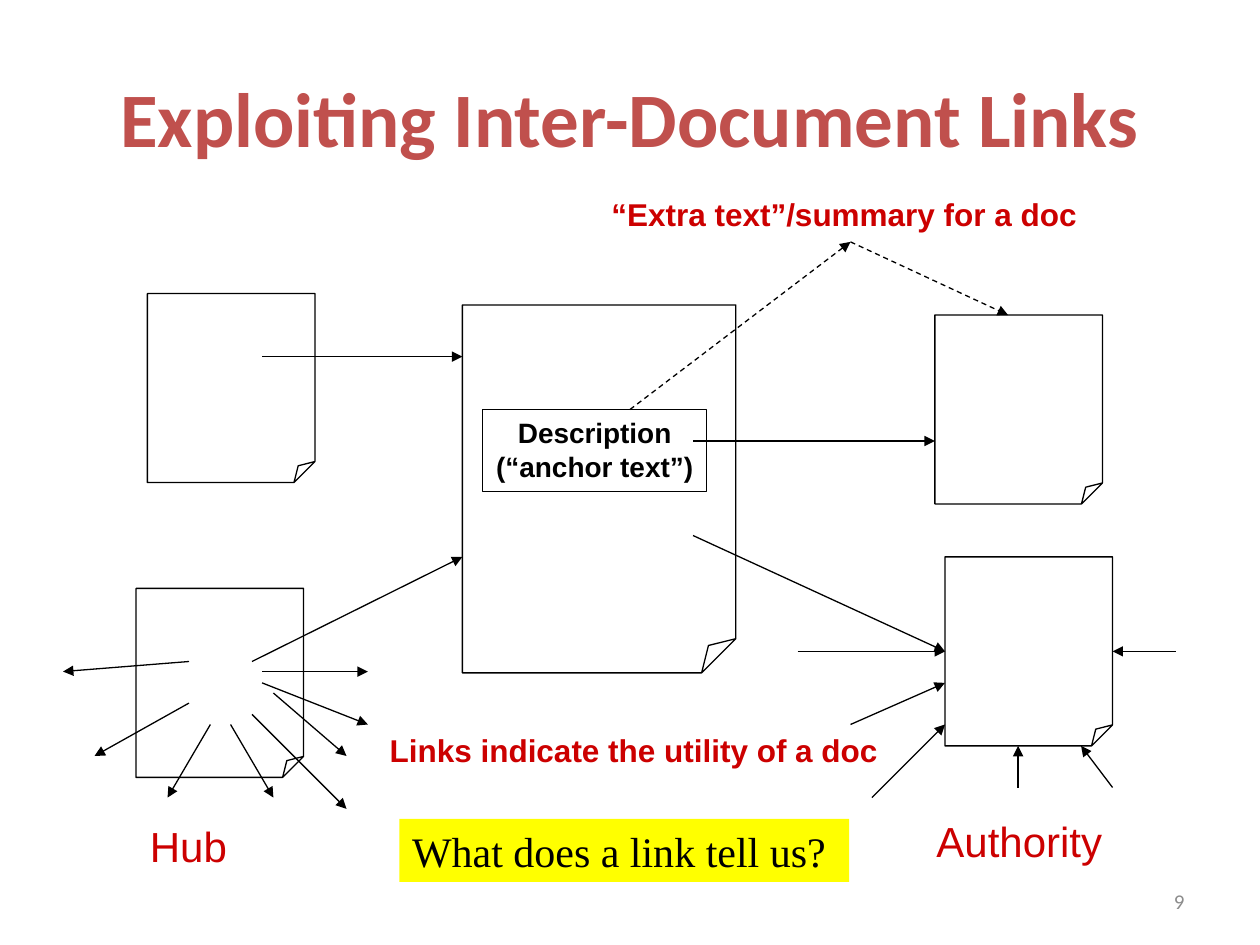
"""Build a slide on exploiting inter-document links."""
import pptx
import pptx.dml.color
import pptx.enum.dml
import pptx.enum.shapes
import pptx.enum.text
import pptx.oxml
import pptx.oxml.ns
import pptx.util
from pptx.util import Inches, Pt

SHAPES = pptx.enum.shapes.MSO_SHAPE
ALIGN = pptx.enum.text.PP_ALIGN
ANCHOR = pptx.enum.text.MSO_ANCHOR
NAMESPACE = pptx.oxml.ns.nsdecls("a")
BLACK, RED, YELLOW = "000000", "CC0000", "FFFF00"

TITLE = "Exploiting Inter-Document Links"
SMALL_PAGE = (1.33, 1.5)
LARGE_PAGE = (2.17, 2.92)
PAGES = [
    (3.67, 2.42, LARGE_PAGE),
    (7.42, 2.5, SMALL_PAGE),
    (1.08, 4.67, SMALL_PAGE),
    (7.5, 4.42, SMALL_PAGE),
    (1.17, 2.33, SMALL_PAGE),
]
ANCHOR_TEXT = (["Description", "(“anchor text”)"], (3.83, 3.25, 1.78, 0.65))
QUESTION = (["What does a link tell us? "], (3.17, 6.5, 3.57, 0.5))
LABELS = [
    ("Hub", (1.09, 6.46, 0.81, 0.5), 24, False),
    ("Authority", (7.33, 6.42, 1.52, 0.5), 24, False),
    ("“Extra text”/summary for a doc", (4.75, 1.5, 3.9, 0.4), 18, True),
    ("Links indicate the utility of a doc", (2.99, 5.75, 4.08, 0.4), 18, True),
]
PAGE_LINKS = [
    (2.08, 2.83, 3.67, 2.83),
    (2, 5.25, 3.67, 4.42),
    (5.5, 4.25, 7.5, 5.17),
]
HUB_LINKS = [
    (2.08, 5.33, 2.92, 5.33),
    (2.08, 5.42, 2.92, 5.75),
    (2.17, 5.5, 2.75, 6),
    (2, 5.67, 2.75, 6.42),
    (1.83, 5.75, 2.17, 6.33),
    (1.67, 5.75, 1.33, 6.33),
    (1.5, 5.58, 0.75, 6),
    (1.5, 5.25, 0.5, 5.33),
]
AUTHORITY_LINKS = [
    (6.33, 5.17, 7.5, 5.17),
    (6.75, 5.75, 7.5, 5.42),
    (6.92, 6.33, 7.5, 5.75),
    (8.08, 6.25, 8.08, 5.92),
    (8.83, 6.25, 8.58, 5.92),
    (9.33, 5.17, 8.83, 5.17),
]
ANCHOR_LINK = (5.5, 3.5, 7.42, 3.5)
SUMMARY_LINKS = [(5, 3.25, 6.75, 1.92), (6.75, 1.92, 8, 2.5)]


def color(value):
    return pptx.dml.color.RGBColor.from_string(value)


def write(shape, lines, size, font, ink, bold=False, align=ALIGN.CENTER,
          anchor=ANCHOR.TOP, wrap=False):
    frame = shape.text_frame
    frame.text = "\n".join(lines)
    frame.word_wrap = wrap
    frame.vertical_anchor = anchor
    for paragraph in frame.paragraphs:
        paragraph.alignment = align
        paragraph.font.size = Pt(size)
        paragraph.font.name = font
        paragraph.font.bold = bold
        paragraph.font.color.rgb = color(ink)


def add_box(slide, preset, box, fill=None, line=None):
    shape = slide.shapes.add_shape(preset, *map(Inches, box))
    shape.shadow.inherit = False
    if fill:
        shape.fill.solid()
        shape.fill.fore_color.rgb = color(fill)
    else:
        shape.fill.background()
    if line:
        shape.line.color.rgb = color(line)
        shape.line.width = Pt(0.75)
    else:
        shape.line.fill.background()
    return shape


def add_page(slide, box):
    page = add_box(slide, SHAPES.FOLDED_CORNER, box, line=BLACK)
    guides = page._element.spPr.find(".//" + pptx.oxml.ns.qn("a:avLst"))
    guides.append(pptx.oxml.parse_xml(
        f'<a:gd {NAMESPACE} name="adj" fmla="val 12500"/>'))


def add_label(slide, box, *text, **style):
    write(slide.shapes.add_textbox(*map(Inches, box)), *text, **style)


def add_arrow(slide, ends, width=0.75, dashed=False):
    arrow = slide.shapes.add_connector(
        pptx.enum.shapes.MSO_CONNECTOR.STRAIGHT, *map(Inches, ends))
    arrow.line.color.rgb = color(BLACK)
    arrow.line.width = Pt(width)
    if dashed:
        arrow.line.dash_style = pptx.enum.dml.MSO_LINE.DASH
    arrow.line._get_or_add_ln().append(
        pptx.oxml.parse_xml(f'<a:tailEnd {NAMESPACE} type="triangle"/>'))
    arrow._element.spPr.append(pptx.oxml.parse_xml(f"<a:effectLst {NAMESPACE}/>"))


def main():
    presentation = pptx.Presentation()
    presentation.slide_width, presentation.slide_height = Inches(10), Inches(7.5)
    slide = presentation.slides.add_slide(presentation.slide_layouts[5])

    title = slide.shapes.title
    title.left, title.top, title.width, title.height = map(Inches, (0.5, 0.3, 9, 1.25))
    write(title, [TITLE], 44, "Calibri", "C0504D", bold=True,
          anchor=ANCHOR.MIDDLE, wrap=True)
    add_label(slide, (7.17, 6.95, 2.33, 0.4), ["9"], 12, "Calibri", "8C8C8C",
              align=ALIGN.RIGHT, anchor=ANCHOR.MIDDLE, wrap=True)

    for left, top, size in PAGES:
        add_page(slide, (left, top, *size))
    lines, box = ANCHOR_TEXT
    write(add_box(slide, SHAPES.RECTANGLE, box, line=BLACK),
          lines, 16, "Arial", BLACK, bold=True)

    for ends in PAGE_LINKS + HUB_LINKS + AUTHORITY_LINKS:
        add_arrow(slide, ends)
    add_arrow(slide, ANCHOR_LINK, width=1.5)
    for ends in SUMMARY_LINKS:
        add_arrow(slide, ends, dashed=True)

    for text, box, size, bold in LABELS:
        add_label(slide, box, [text], size, "Arial", RED, bold=bold)
    lines, box = QUESTION
    write(add_box(slide, SHAPES.RECTANGLE, box, fill=YELLOW),
          lines, 24, "Times New Roman", BLACK)

    presentation.save("out.pptx")


if __name__ == "__main__":
    main()
